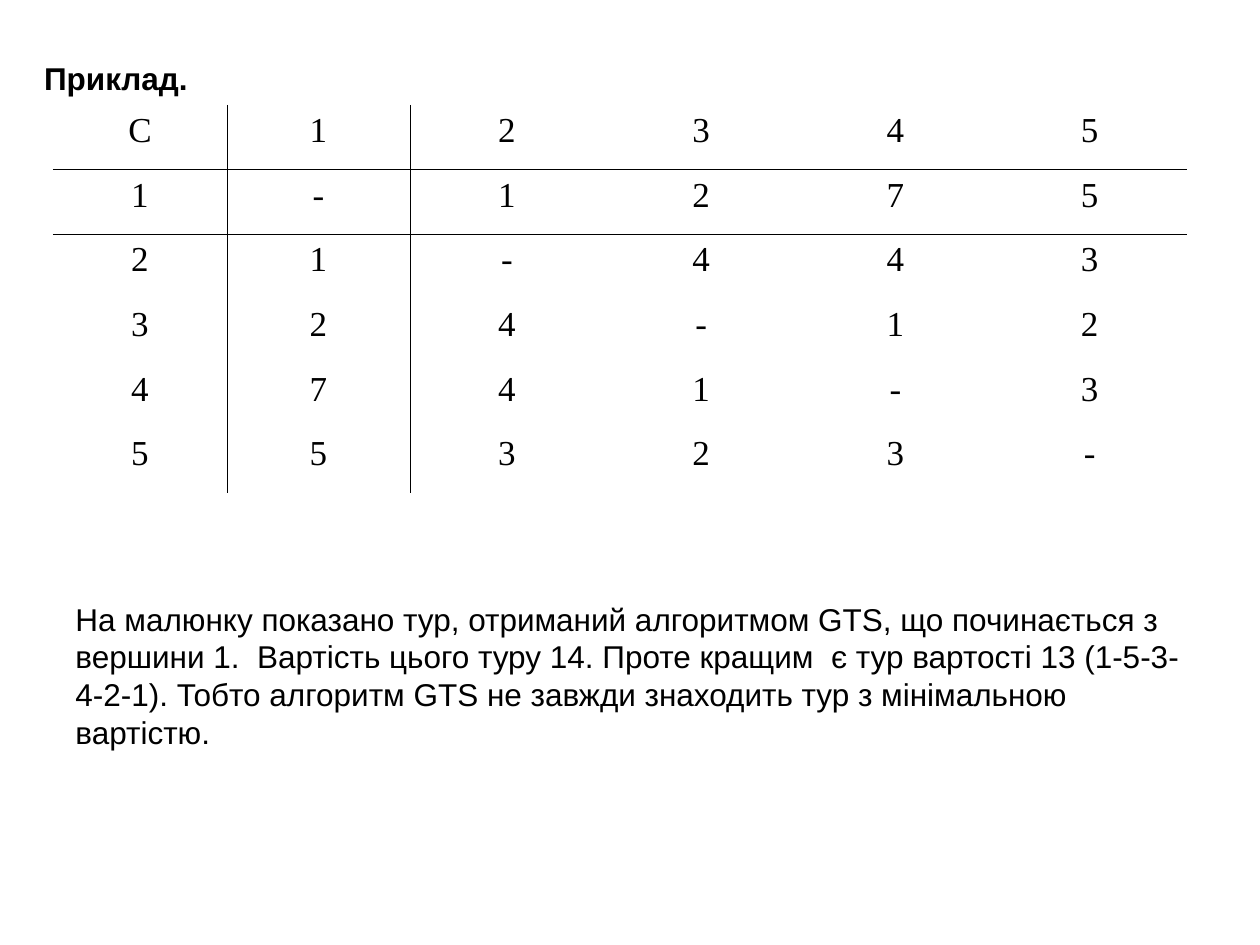
import pptx
import pptx.util
import pptx.dml.color
import pptx.enum.text
import pptx.oxml.ns
import lxml.etree

INK = "000000"
BARE = "{2D5ABB26-0587-4C30-8999-92F81FD0307C}"  # table style without grid
Align = pptx.enum.text.PP_ALIGN
Anchor = pptx.enum.text.MSO_ANCHOR
Fit = pptx.enum.text.MSO_AUTO_SIZE


def color(code):
    return pptx.dml.color.RGBColor.from_string(code)


class Deck:
    sans = "Arial"
    serif = "Times New Roman"
    body = 18
    large = 20
    rule = 0.45

    def __init__(self, wide, high):
        self.file = pptx.Presentation()
        self.file.slide_width = pptx.util.Inches(wide)
        self.file.slide_height = pptx.util.Inches(high)
        self.slide = self.file.slides.add_slide(self.file.slide_layouts[5])

    def place(self, left, top, wide, high):
        """Turn shares of the slide into lengths."""
        w, h = self.file.slide_width, self.file.slide_height
        return [round(n) for n in (left * w, top * h, wide * w, high * h)]

    def add_run(self, frame, text, font, size, bold=False, align=Align.LEFT):
        para = frame.paragraphs[0]
        para.alignment = align
        run = para.add_run()
        run.text = text
        run.font.name = font
        run.font.size = pptx.util.Pt(size)
        run.font.bold = bold
        run.font.color.rgb = color(INK)

    def fill_box(self, box, text, wrap, bold):
        frame = box.text_frame
        frame.word_wrap = wrap
        frame.auto_size = Fit.SHAPE_TO_FIT_TEXT
        frame.vertical_anchor = Anchor.MIDDLE
        self.add_run(frame, text, self.sans, self.body, bold)

    def title(self, text, *area):
        box = self.slide.shapes.title
        box.left, box.top, box.width, box.height = self.place(*area)
        self.fill_box(box, text, wrap=False, bold=True)

    def text(self, text, *area):
        box = self.slide.shapes.add_textbox(*self.place(*area))
        self.fill_box(box, text, wrap=True, bold=False)

    def edge(self, cell, side):
        qn = pptx.oxml.ns.qn
        line = lxml.etree.SubElement(
            cell._tc.get_or_add_tcPr(), qn("a:ln" + side),
            w=str(pptx.util.Pt(self.rule)))
        fill = lxml.etree.SubElement(line, qn("a:solidFill"))
        lxml.etree.SubElement(fill, qn("a:srgbClr"), val=INK)

    def table(self, rows, cols, *area):
        """Rule off the first row and the first column."""
        x, y, w, h = self.place(*area)
        shape = self.slide.shapes.add_table(len(rows), len(cols), x, y, w, h)
        grid = shape.table
        grid.first_row = grid.horz_banding = False
        grid._tbl.tblPr.find(pptx.oxml.ns.qn("a:tableStyleId")).text = BARE
        for col, part in zip(grid.columns, cols):
            col.width = round(w * part / sum(cols))
        for r, row in enumerate(rows):
            for c, value in enumerate(row):
                cell = grid.cell(r, c)
                sides = {"L": c == 1, "R": c == 0, "T": r == 1, "B": r == 0}
                for side, drawn in sides.items():
                    if drawn:
                        self.edge(cell, side)
                cell.fill.background()
                self.add_run(cell.text_frame, value, self.serif, self.large,
                             align=Align.CENTER)


def main():
    deck = Deck(10, 7.5)

    # Heading
    deck.title("Приклад.", 0.025, 0.056, 0.14, 0.053)

    # Cost matrix, one character per cell
    costs = ["С12345", "1-1275", "21-443", "324-12", "4741-3", "55323-"]
    deck.table(costs, [1.38, 1.45] + [1.54] * 4, 0.042, 0.111, 0.9, 0.411)

    # Conclusion
    deck.text("На малюнку показано тур, отриманий алгоритмом GTS, що "
              "починається з вершини 1.  Вартість цього туру 14. Проте "
              "кращим  є тур вартості 13 (1-5-3-4-2-1). Тобто алгоритм GTS "
              "не завжди знаходить тур з мінімальною вартістю.",
              0.05, 0.628, 0.908, 0.173)

    deck.file.save("out.pptx")


if __name__ == "__main__":
    main()
